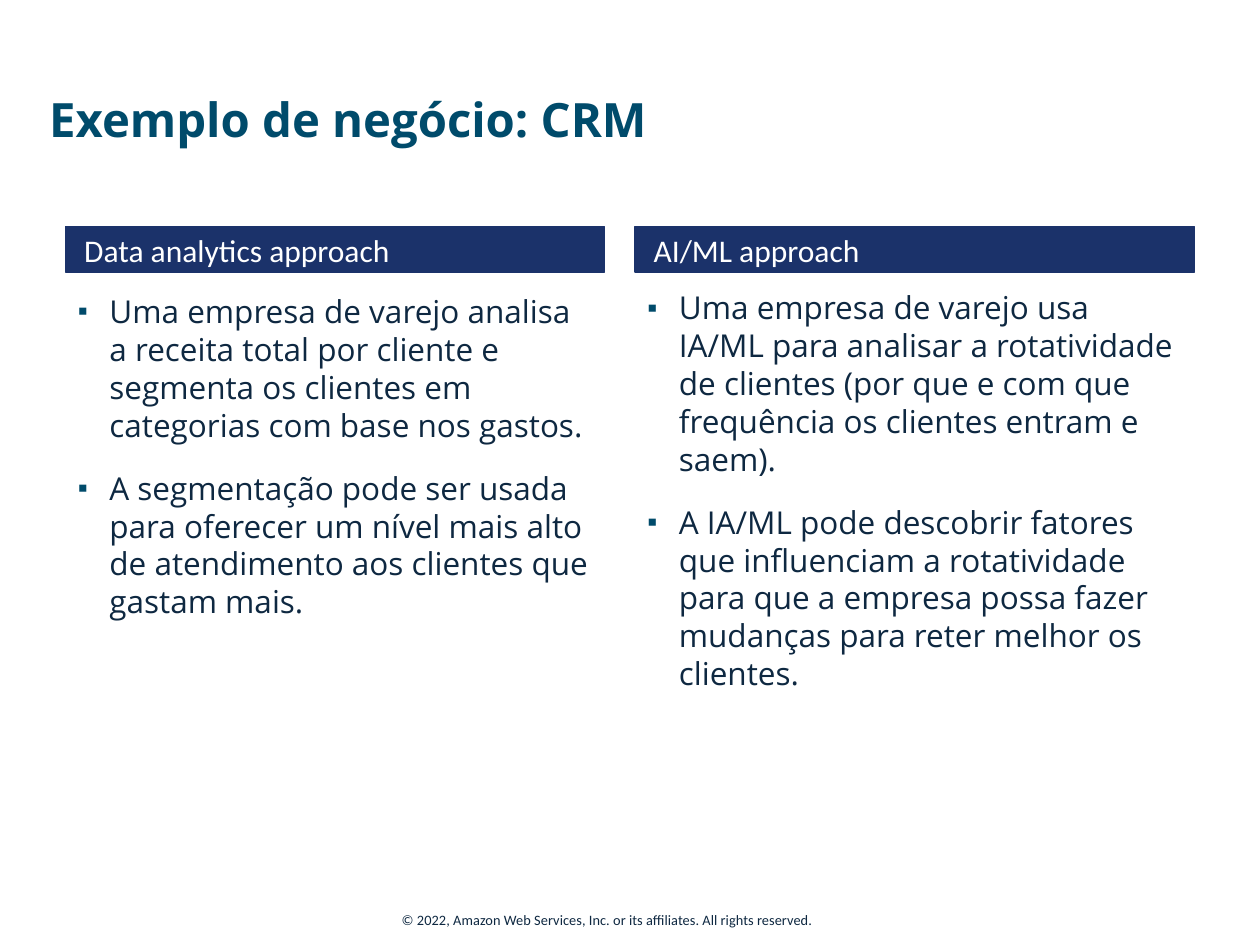
from dataclasses import dataclass

from lxml.etree import SubElement
from pptx import Presentation
from pptx.dml.color import RGBColor as Rgb
from pptx.enum.shapes import MSO_SHAPE as Shape
from pptx.enum.text import MSO_ANCHOR as Anchor, MSO_AUTO_SIZE as Fit, PP_ALIGN as Align
from pptx.oxml.ns import qn
from pptx.util import Inches, Pt


@dataclass(frozen=True)
class Style:
    font: str
    size: float
    color: str
    bold: bool = False


@dataclass(frozen=True)
class Theme:
    paper: str = "FFFFFF"
    band: str = "1B326A"
    mark: str = "004B6B"
    title: Style = Style("Open Sans", 27, "004B6B", True)
    head: Style = Style("Calibri", 18, "FFFFFF")
    body: Style = Style("Open Sans", 18, "0E2841")
    foot: Style = Style("Calibri", 8.25, "0E2841")


@dataclass(frozen=True)
class Box:
    left: float
    top: float
    width: float
    height: float

    def emu(self) -> tuple:
        return tuple(map(Inches, (self.left, self.top, self.width, self.height)))


@dataclass(frozen=True)
class Column:
    left: float
    width: float
    top: float
    head: str
    points: tuple[str, ...]


THEME = Theme()
HEAD_TOP, HEAD_HIGH, BODY_HIGH = 1.8, 0.36, 3.94
INDENT = 0.25
COLUMNS = (
    Column(0.52, 4.28, 2.27, "Data analytics approach", (
        "Uma empresa de varejo analisa a receita total por cliente e segmenta "
        "os clientes em categorias com base nos gastos.",
        "A segmentação pode ser usada para oferecer um nível mais alto de "
        "atendimento aos clientes que gastam mais.",
    )),
    Column(5.04, 4.44, 2.24, "AI/ML approach", (
        "Uma empresa de varejo usa IA/ML para analisar a rotatividade de clientes "
        "(por que e com que frequência os clientes entram e saem).",
        "A IA/ML pode descobrir fatores que influenciam a rotatividade para que a "
        "empresa possa fazer mudanças para reter melhor os clientes.",
    )),
)


def write(para, text: str, style: Style) -> None:
    run = para.add_run()
    run.text = text
    font = run.font
    font.name, font.size, font.bold = style.font, Pt(style.size), style.bold
    font.color.rgb = Rgb.from_string(style.color)
    para.alignment = Align.LEFT


def indent(para, left: float, first: float = 0) -> None:
    props = para._p.get_or_add_pPr()
    props.set("marL", str(Inches(left)))
    props.set("indent", str(Inches(first)))


def add_mark(para) -> None:
    """Give the paragraph a small square bullet with a hanging indent."""
    indent(para, INDENT, -INDENT)
    props = para._p.get_or_add_pPr()
    color = SubElement(props, qn("a:buClr"))
    SubElement(color, qn("a:srgbClr"), val=THEME.mark)
    SubElement(props, qn("a:buSzPct"), val="90000")
    SubElement(props, qn("a:buFont"), typeface="Arial")
    SubElement(props, qn("a:buChar"), char="▪")


def draw_title(slide, box: Box, text: str) -> None:
    title = slide.shapes.title
    title.left, title.top, title.width, title.height = box.emu()
    frame = title.text_frame
    frame.auto_size, frame.vertical_anchor = Fit.NONE, Anchor.MIDDLE
    write(frame.paragraphs[0], text, THEME.title)


def draw_head(slide, box: Box, text: str) -> None:
    band = slide.shapes.add_shape(Shape.RECTANGLE, *box.emu())
    band.shadow.inherit = False
    band.fill.solid()
    band.fill.fore_color.rgb = band.line.color.rgb = Rgb.from_string(THEME.band)
    band.line.width = Pt(0.75)
    frame = band.text_frame
    frame.vertical_anchor = Anchor.MIDDLE
    indent(frame.paragraphs[0], 0.05)
    write(frame.paragraphs[0], text, THEME.head)


def draw_points(slide, box: Box, points: tuple[str, ...]) -> None:
    frame = slide.shapes.add_textbox(*box.emu()).text_frame
    frame.word_wrap = True
    for i, text in enumerate(points):
        para = frame.add_paragraph() if i else frame.paragraphs[0]
        add_mark(para)
        para.line_spacing = 1.0
        para.space_before = Pt(10 if i else 0)
        para.space_after = Pt(4.5)
        write(para, text, THEME.body)


def draw_foot(slide, box: Box, text: str) -> None:
    frame = slide.shapes.add_textbox(*box.emu()).text_frame
    frame.word_wrap = False
    frame.auto_size = Fit.SHAPE_TO_FIT_TEXT
    write(frame.paragraphs[0], text, THEME.foot)


def main() -> None:
    deck = Presentation()
    deck.slide_width, deck.slide_height = Inches(10), Inches(7.5)
    slide = deck.slides.add_slide(deck.slide_layouts.get_by_name("Title Only"))
    slide.background.fill.solid()
    slide.background.fill.fore_color.rgb = Rgb.from_string(THEME.paper)
    draw_title(slide, Box(0.29, 0.64, 9.52, 0.6), "Exemplo de negócio: CRM")
    for col in COLUMNS:
        draw_head(slide, Box(col.left, HEAD_TOP, col.width, HEAD_HIGH), col.head)
        draw_points(slide, Box(col.left, col.top, col.width, BODY_HIGH), col.points)
    draw_foot(slide, Box(3.09, 7.18, 3.76, 0.24),
              "© 2022, Amazon Web Services, Inc. or its affiliates. All rights reserved.")
    deck.save("out.pptx")


if __name__ == "__main__":
    main()
